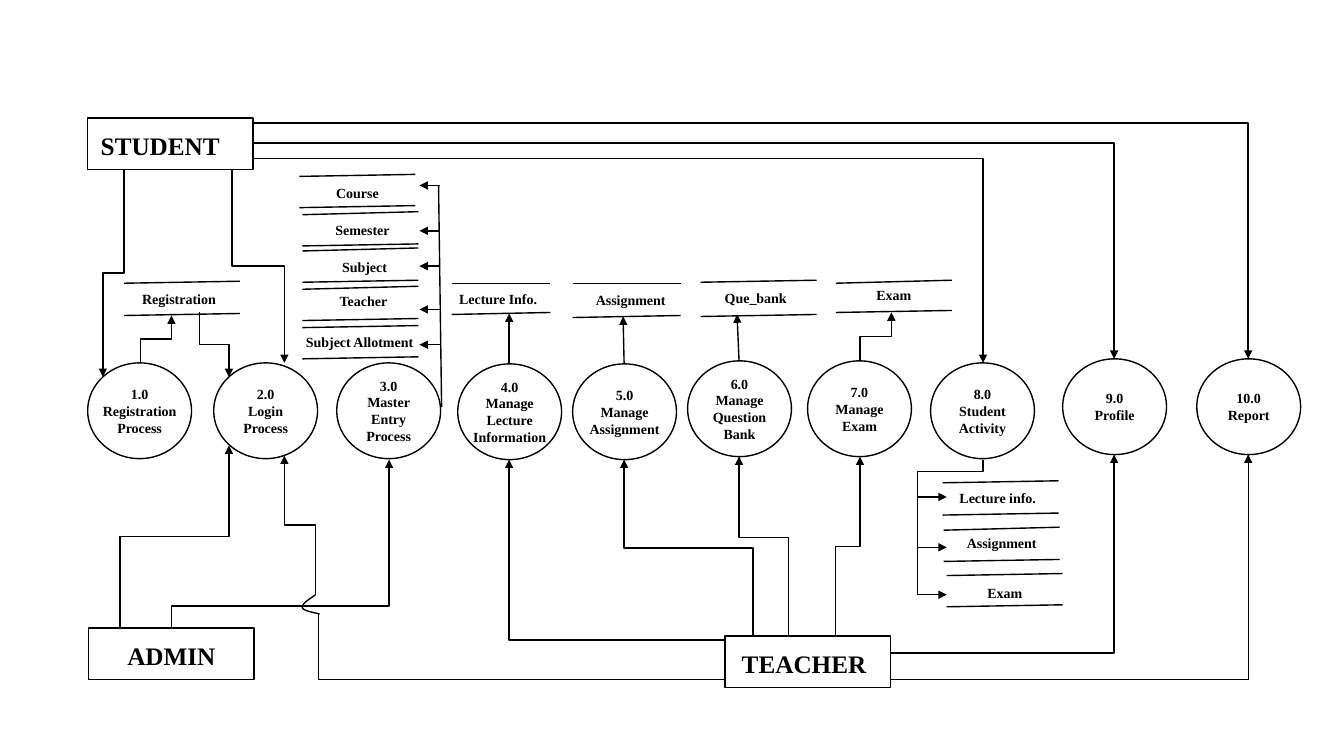
from lxml import etree
from pptx import Presentation
from pptx.dml.color import RGBColor
from pptx.enum.shapes import MSO_CONNECTOR, MSO_SHAPE
from pptx.enum.text import MSO_ANCHOR, PP_ALIGN
from pptx.oxml.ns import qn
from pptx.util import Inches, Pt

STRAIGHT, ELBOW = MSO_CONNECTOR.STRAIGHT, MSO_CONNECTOR.ELBOW
OVAL, RECTANGLE = MSO_SHAPE.OVAL, MSO_SHAPE.RECTANGLE
MIDDLE, CENTER = MSO_ANCHOR.MIDDLE, PP_ALIGN.CENTER
COLORS = {"ink": "000000"}
FONT = "Times New Roman"
INK = RGBColor.from_string(COLORS["ink"])

PROCESSES = [
    (0.87, 3.6, ["1.0", "Registration", "Process"]),
    (2.12, 3.6, ["2.0", "Login", "Process"]),
    (3.34, 3.6, ["3.0", "Master", "Entry", "Process"]),
    (4.54, 3.61, ["4.0", "Manage", "Lecture", "Information"]),
    (5.68, 3.61, ["5.0", "Manage", "Assignment"]),
    (6.82, 3.58, ["6.0", "Manage", "Question", "Bank"]),
    (8.01, 3.58, ["7.0", "Manage", "Exam"]),
    (9.23, 3.6, ["8.0", "Student", "Activity"]),
    (10.54, 3.56, ["9.0", "Profile"]),
    (11.87, 3.56, ["10.0", "Report"]),
]
ENTITIES = [
    (0.87, 1.17, "STUDENT", 0.2),
    (0.88, 6.23, "ADMIN", 0),
    (7.19, 6.31, "TEACHER", 0.07),
]
STORES = [
    ((1.23, 2.81, 1.15, 0.32), "Registration", -0.03, 0.01, 0.02),
    ((2.97, 1.75, 1.15, 0.31), "Course", 0, 0.02, 0.02),
    ((3, 2.13, 1.15, 0.31), "Semester", 0.02, 0.01, 0.03),
    ((3, 2.49, 1.15, 0.31), "Subject", 0.04, 0.02, 0.03),
    ((3, 2.87, 1.15, 0.31), "Teacher", 0.03, -0.02, 0.03),
    ((3, 3.25, 1.15, 0.31), "Subject Allotment", -0.01, 0, 0.02),
    ((4.48, 2.81, 0.98, 0.31), "Lecture Info.", -0.03, 0.02, 0),
    ((5.68, 2.81, 1.07, 0.34), "Assignment", 0.04, 0.01, 0),
    ((6.95, 2.8, 1.15, 0.34), "Que_bank", -0.03, 0, 0.02),
    ((8.29, 2.81, 1.15, 0.29), "Exam", 0, -0.01, 0.03),
    ((9.35, 4.79, 1.15, 0.32), "Lecture info.", -0.03, 0, 0.02),
    ((9.36, 5.26, 1.15, 0.31), "Assignment", 0, -0.01, 0.03),
    ((9.39, 5.71, 1.15, 0.31), "Exam", 0, 0.03, 0.02),
]
VERTICAL_FLOWS = [
    ((1.23, 1.68), (1.02, 3.74), 0.5),
    ((2.3, 1.68), (2.82, 3.6), 0.5),
    ((1.39, 3.6), (1.7, 3.13), 0.5),
    ((1.98, 3.1), (2.27, 3.74), 0.5),
    ((1.19, 6.23), (2.27, 4.42), 0.5),
    ((1.7, 6.23), (3.86, 4.56), 0.13),
    ((7.47, 6.31), (6.19, 4.56), 0.5),
    ((7.82, 6.31), (7.33, 4.53), 0.55),
    ((8.29, 6.31), (8.53, 4.53), 0.5),
    ((8.53, 3.58), (8.84, 3.1), 0.5),
    ((3.13, 5.9), (2.82, 4.52), 0.5),
]
CORNER_FLOWS = [
    ((7.19, 6.35), (5.05, 4.56)),
    ((8.84, 6.48), (11.05, 4.51)),
    ((8.83, 6.74), (12.38, 4.51)),
    ((2.52, 1.22), (12.38, 3.56)),
    ((2.52, 1.42), (11.05, 3.56)),
    ((2.52, 1.57), (9.75, 3.6)),
]
STORE_ARROWS = [
    ((5.05, 3.61), (5.05, 3.11)),
    ((6.19, 3.6), (6.18, 3.14)),
    ((7.33, 3.58), (7.31, 3.12)),
]


def write(shape, lines, size, right_inset=0, top_inset=0):
    frame = shape.text_frame
    frame.margin_left = frame.margin_bottom = 0
    frame.margin_right = Inches(right_inset)
    frame.margin_top = Inches(top_inset)
    frame.word_wrap = False
    frame.vertical_anchor = MIDDLE
    frame.text = "\n".join(lines)
    for paragraph in frame.paragraphs:
        paragraph.alignment = CENTER
        font = paragraph.font
        font.name, font.size, font.bold = FONT, Pt(size), True
        font.color.rgb = INK


def outline(shape):
    shape.shadow.inherit = False
    shape.fill.background()
    shape.line.color.rgb = INK
    shape.line.width = Pt(1)


def connect(slide, start, end, arrow=False, kind=STRAIGHT):
    connector = slide.shapes.add_connector(kind, *map(Inches, (*start, *end)))
    connector.line.color.rgb = INK
    connector.line.width = Pt(1)
    properties = connector._element.spPr
    if arrow:
        etree.SubElement(properties.find(qn("a:ln")), qn("a:tailEnd"), type="triangle")
    etree.SubElement(properties, qn("a:effectLst"))
    return connector


def set_bend(connector, bend):
    guides = connector._element.spPr.find(qn("a:prstGeom")).get_or_add_avLst()
    etree.SubElement(guides, qn("a:gd"), name="adj1", fmla=f"val {round(bend * 100000)}")


def vertical_flow(slide, start, end, bend, arrow=True):
    (x1, y1), (x2, y2) = start, end
    middle_x, middle_y = (x1 + x2) / 2, (y1 + y2) / 2
    half_width = abs(y2 - y1) / 2 * (1 if x2 > x1 else -1)
    half_height = abs(x2 - x1) / 2 * (1 if y2 < y1 else -1)
    flow = connect(slide, (middle_x + half_width, middle_y + half_height),
                   (middle_x - half_width, middle_y - half_height), arrow, ELBOW)
    degrees = 90 if (x2 - x1) * (y2 - y1) < 0 else 270
    flow._element.spPr.find(qn("a:xfrm")).set("rot", str(degrees * 60000))
    set_bend(flow, bend)


def corner_flow(slide, start, end):
    flow = connect(slide, start, end, True, ELBOW)
    flow._element.spPr.find(qn("a:prstGeom")).set("prst", "bentConnector2")


def process(slide, left, top, lines):
    circle = slide.shapes.add_shape(OVAL, *map(Inches, (left, top, 1.03, 0.95)))
    outline(circle)
    write(circle, lines, 10)


def entity(slide, left, top, name, right_inset):
    box = slide.shapes.add_shape(RECTANGLE, *map(Inches, (left, top, 1.64, 0.51)))
    outline(box)
    write(box, [name], 18, right_inset, 0.04)


def data_store(slide, box, name, shift_x, shift_y, top_tilt):
    left, top, width, height = box
    connect(slide, (left, top), (left + width, top - top_tilt))
    connect(slide, (left, top + height), (left + width, top + height - 0.02))
    label = slide.shapes.add_textbox(*map(Inches, (
        left + shift_x, top + height / 2 - 0.15 + shift_y, width, 0.27)))
    write(label, [name], 10)


def master_entry_branches(slide):
    connect(slide, (4.38, 4.04), (4.35, 1.84))
    for y in (1.84, 2.29, 2.64, 3.07, 3.42):
        connect(slide, (4.36, y), (4.16, y), True)


def student_activity_branches(slide):
    vertical_flow(slide, (9.75, 4.56), (9.1, 5.9), 0.09, arrow=False)
    for y in (4.93, 5.43, 5.9):
        connect(slide, (9.1, y), (9.39, y), True)


def login_crossing(slide):
    curves = [
        ((3.13, 5.9), (3.06, 5.95), (2.99, 5.99), (3, 6.03)),
        ((3, 6.03), (3, 6.06), (3.17, 6.09), (3.17, 6.09)),
    ]
    points = []
    for a, b, c, d in curves:
        for step in range(1, 9):
            t = step / 8
            s = 1 - t
            points.append(tuple(
                Inches(s**3 * p + 3 * s * s * t * q + 3 * s * t * t * r + t**3 * u)
                for p, q, r, u in zip(a, b, c, d)))
    builder = slide.shapes.build_freeform(Inches(3.13), Inches(5.9))
    builder.add_line_segments(points, close=False)
    outline(builder.convert_to_shape())
    set_bend(connect(slide, (3.16, 6.09), (7.19, 6.74), kind=ELBOW), 0)


def data_flow_slide(slide):
    for row in PROCESSES:
        process(slide, *row)
    for row in ENTITIES:
        entity(slide, *row)
    for row in STORES:
        data_store(slide, *row)
    for row in VERTICAL_FLOWS:
        vertical_flow(slide, *row)
    for row in CORNER_FLOWS:
        corner_flow(slide, *row)
    for start, end in STORE_ARROWS:
        connect(slide, start, end, True)
    master_entry_branches(slide)
    student_activity_branches(slide)
    login_crossing(slide)


def main():
    deck = Presentation()
    deck.slide_width, deck.slide_height = Inches(13.33), Inches(7.5)
    data_flow_slide(deck.slides.add_slide(deck.slide_layouts[6]))
    deck.save("out.pptx")


if __name__ == "__main__":
    main()
